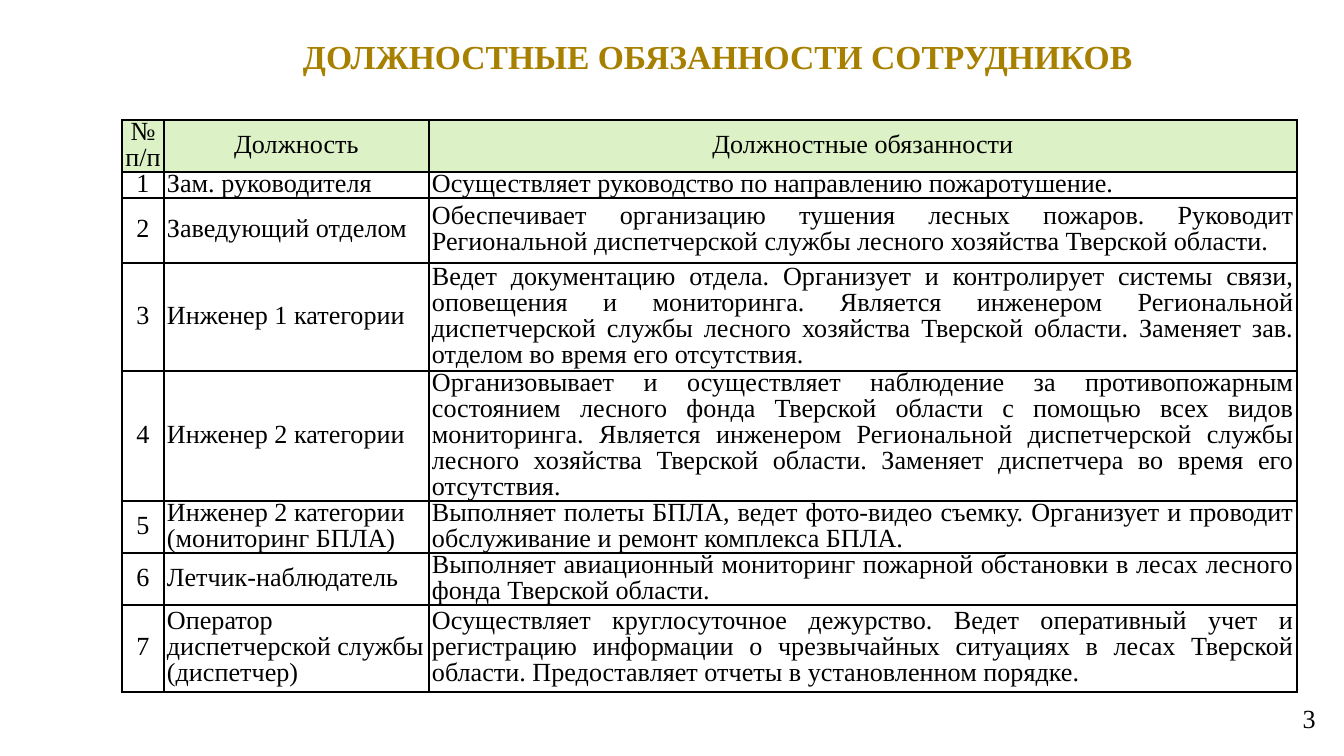
from dataclasses import dataclass

from lxml import etree
from pptx import Presentation
from pptx import util as u
from pptx.dml.color import RGBColor
from pptx.enum import text
from pptx.oxml import ns

PX = 914400 / 134.4  # EMU in one px
CENTER, LEFT = text.PP_ALIGN.CENTER, text.PP_ALIGN.LEFT
RIGHT, JUSTIFY = text.PP_ALIGN.RIGHT, text.PP_ALIGN.JUSTIFY


@dataclass(frozen=True)
class Theme:
    font: str = "Times New Roman"
    title_size: int = 18
    body_size: int = 14
    cell_leading: float = 13.9
    border_width: int = 1
    gold: str = "A88000"
    black: str = "000000"
    header_green: str = "DDF1C7"


THEME = Theme()
COLUMN_WIDTHS = (42, 265, 868)
COLUMN_ALIGNS = (CENTER, LEFT, JUSTIFY)
ROW_HEIGHTS = (52, 26, 65, 108, 130, 52, 52, 87)
HEADER = ("№ п/п", "Должность", "Должностные обязанности")
DUTIES = (
    ("Зам. руководителя",
     "Осуществляет руководство по направлению пожаротушение."),
    ("Заведующий отделом",
     "Обеспечивает организацию тушения лесных пожаров. Руководит Региональной "
     "диспетчерской службы лесного хозяйства Тверской области."),
    ("Инженер 1 категории",
     "Ведет документацию отдела. Организует и контролирует системы связи, "
     "оповещения и мониторинга. Является инженером Региональной диспетчерской "
     "службы лесного хозяйства Тверской области. Заменяет зав. отделом во время "
     "его отсутствия."),
    ("Инженер 2 категории",
     "Организовывает и осуществляет наблюдение за противопожарным состоянием "
     "лесного фонда Тверской области с помощью всех видов мониторинга. Является "
     "инженером Региональной диспетчерской службы лесного хозяйства Тверской "
     "области. Заменяет диспетчера во время его отсутствия."),
    ("Инженер 2 категории (мониторинг БПЛА)",
     "Выполняет полеты БПЛА, ведет фото-видео съемку. Организует и проводит "
     "обслуживание и ремонт комплекса БПЛА."),
    ("Летчик-наблюдатель",
     "Выполняет авиационный мониторинг пожарной обстановки в лесах лесного фонда "
     "Тверской области."),
    ("Оператор диспетчерской службы (диспетчер)",
     "Осуществляет круглосуточное дежурство. Ведет оперативный учет и регистрацию "
     "информации о чрезвычайных ситуациях в лесах Тверской области. Предоставляет "
     "отчеты в установленном порядке."),
)


def px(length):
    return u.Emu(round(length * PX))


def write(frame, words, align, size, color, spacing=1.0, bold=False):
    frame.text = words
    line = frame.paragraphs[0]
    line.alignment = align
    line.line_spacing = spacing
    font = line.runs[0].font
    font.name, font.size, font.bold = THEME.font, u.Pt(size), bold
    font.color.rgb = RGBColor.from_string(color)


def add_label(slide, box, words, align, size, color, **style):
    frame = slide.shapes.add_textbox(*map(px, box)).text_frame
    frame.word_wrap = True
    frame.vertical_anchor = text.MSO_ANCHOR.MIDDLE
    write(frame, words, align, size, color, **style)


def add_borders(cell):
    properties = cell._tc.get_or_add_tcPr()
    for position, side in enumerate(("lnL", "lnR", "lnT", "lnB")):
        border = etree.Element(ns.qn(f"a:{side}"), w=str(u.Pt(THEME.border_width)))
        fill = etree.SubElement(border, ns.qn("a:solidFill"))
        etree.SubElement(fill, ns.qn("a:srgbClr"), val=THEME.black)
        properties.insert(position, border)


def fill_cell(cell, words, align, is_header):
    cell.margin_left = cell.margin_right = px(3)
    cell.margin_top = cell.margin_bottom = 0
    cell.vertical_anchor = text.MSO_ANCHOR.MIDDLE
    # Exact leading keeps the rows at their set heights
    write(cell.text_frame, words, align, THEME.body_size, THEME.black,
          spacing=u.Pt(THEME.cell_leading))
    if is_header:
        cell.fill.solid()
        cell.fill.fore_color.rgb = RGBColor.from_string(THEME.header_green)
    else:
        cell.fill.background()
    add_borders(cell)


def add_duties_table(slide, left, top):
    rows = [HEADER] + [(str(number), *duty) for number, duty in enumerate(DUTIES, 1)]
    duties = slide.shapes.add_table(
        len(rows), len(HEADER), px(left), px(top),
        px(sum(COLUMN_WIDTHS)), px(sum(ROW_HEIGHTS))).table
    duties.first_row = duties.horz_banding = False
    for column, width in zip(duties.columns, COLUMN_WIDTHS):
        column.width = px(width)
    for row, height in zip(duties.rows, ROW_HEIGHTS):
        row.height = px(height)
    for r, row_words in enumerate(rows):
        for c, words in enumerate(row_words):
            align = COLUMN_ALIGNS[c] if r else CENTER
            fill_cell(duties.cell(r, c), words, align, is_header=r == 0)


def main():
    deck = Presentation()
    deck.slide_width, deck.slide_height = px(1344), px(756)
    slide = deck.slides.add_slide(deck.slide_layouts[6])

    # Title
    add_label(slide, (106, 7, 1224, 108), "ДОЛЖНОСТНЫЕ ОБЯЗАННОСТИ СОТРУДНИКОВ",
              CENTER, THEME.title_size, THEME.gold, spacing=0.7, bold=True)
    # Slide number
    add_label(slide, (1016, 698, 313, 40), "3", RIGHT, THEME.body_size, THEME.black)
    # Positions and their duties
    add_duties_table(slide, 122, 120)

    deck.save("out.pptx")


if __name__ == "__main__":
    main()
